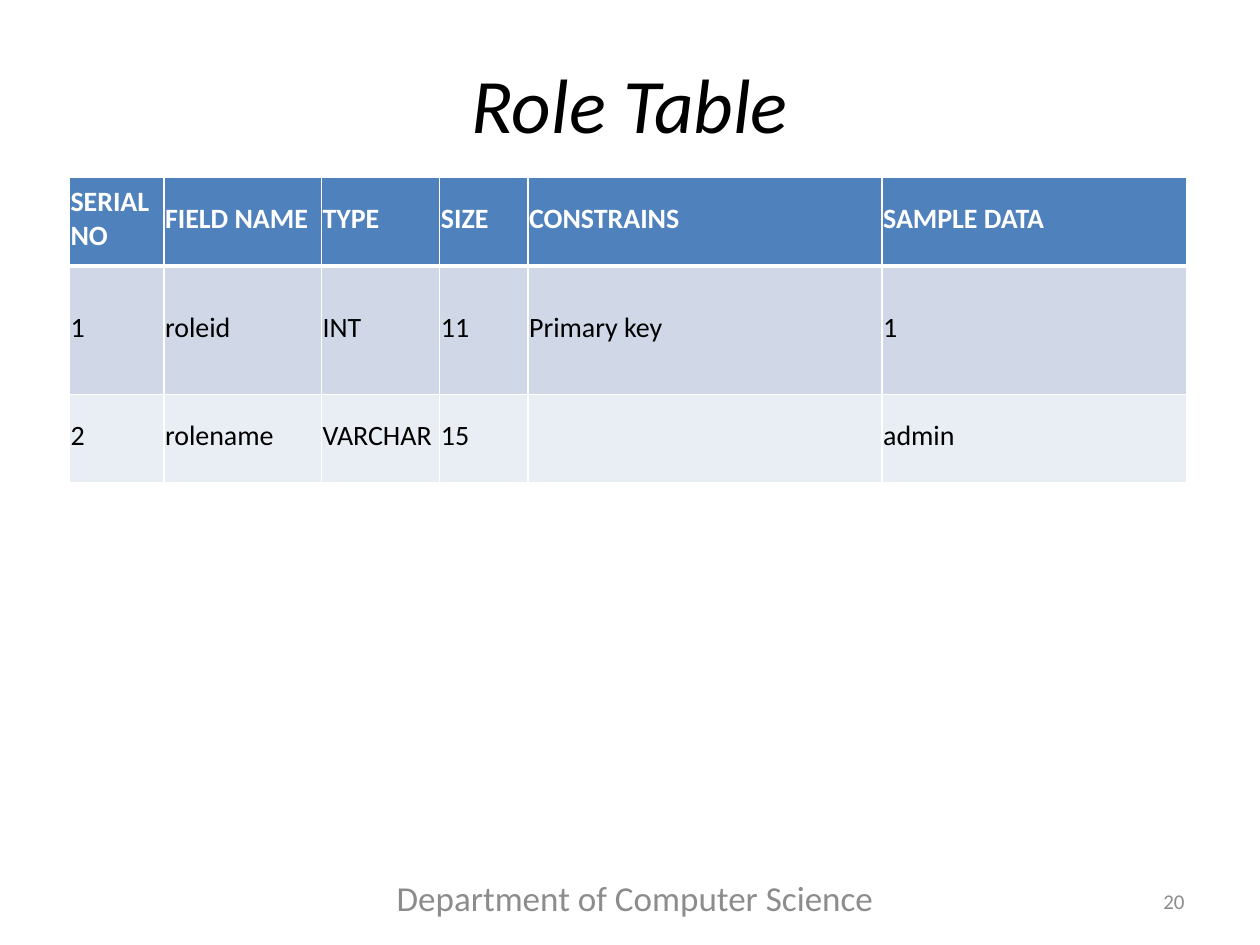
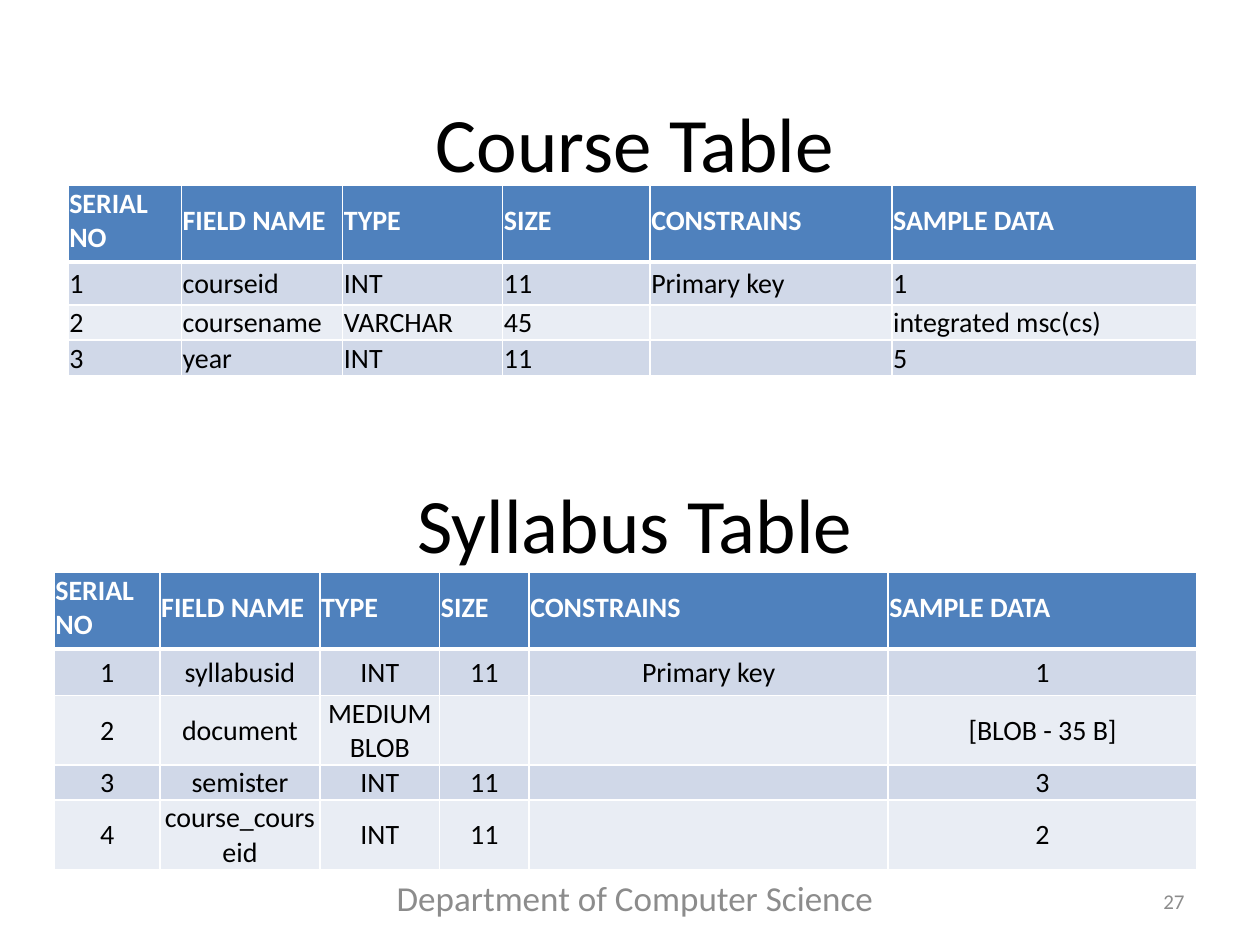
from lxml import etree
from pptx import Presentation, util as u
from pptx.dml import color
from pptx.enum import text
from pptx.oxml import ns

FONT = "Calibri"
WHITE, BLACK, GREY = "FFFFFF", "000000", "8C8C8C"
HEADER_FILL, BAND_FILLS = "4F81BD", ("D0D8E8", "E9EDF4")
LEFT, CENTER, RIGHT = text.PP_ALIGN.LEFT, text.PP_ALIGN.CENTER, text.PP_ALIGN.RIGHT
TITLE = dict(size=u.Pt(44), name=FONT)
HEADINGS = ["SERIAL NO", "FIELD NAME", "TYPE", "SIZE", "CONSTRAINS", "SAMPLE DATA"]


def rgb(value):
    return color.RGBColor.from_string(value)


def place(shape, box):
    for side, length in zip(("left", "top", "width", "height"), box):
        setattr(shape, side, u.Inches(length))


def write(frame, words, ink, align, style):
    """Fill a text frame with one formatted, vertically centred paragraph."""
    frame.word_wrap = True
    frame.vertical_anchor = text.MSO_ANCHOR.MIDDLE
    para = frame.paragraphs[0]
    para.alignment = align
    if not words:
        # An empty cell keeps the table's text size, so its row stays low
        end = etree.SubElement(para._p, ns.qn("a:endParaRPr"))
        end.set("sz", str(int(style["size"].pt * 100)))
        return
    span = para.add_run()
    span.text = words
    for name, value in style.items():
        setattr(span.font, name, value)
    span.font.color.rgb = rgb(ink)


def add_label(page, box, words, ink, align, style):
    label = page.shapes.add_textbox(*map(u.Inches, box))
    write(label.text_frame, words, ink, align, style)


def add_page(deck, title, box, number, italic=False):
    """Add a slide with its title, footer and number."""
    page = deck.slides.add_slide(deck.slide_layouts[5])
    place(page.shapes.title, box)
    write(page.shapes.title.text_frame, title, BLACK, CENTER, dict(TITLE, italic=italic))
    add_label(page, (2.83, 6.92, 4.42, 0.4), "Department of Computer Science",
              GREY, CENTER, dict(size=u.Pt(20), name=FONT))
    add_label(page, (7.17, 6.95, 2.33, 0.4), number,
              GREY, RIGHT, dict(size=u.Pt(12), name=FONT))
    return page


def add_borders(cell, bottom):
    """Draw white cell borders; they must come before the cell's fill."""
    props = cell._tc.get_or_add_tcPr()
    for index, (side, points) in enumerate(
            (("lnL", 1), ("lnR", 1), ("lnT", 1), ("lnB", bottom))):
        line = etree.Element(ns.qn("a:" + side), w=str(u.Pt(points)))
        fill = etree.SubElement(line, ns.qn("a:solidFill"))
        etree.SubElement(fill, ns.qn("a:srgbClr"), val=WHITE)
        props.insert(index, line)


def add_field_table(page, corner, widths, heights, fields, align=LEFT, pad=0.0):
    """Add a table of database fields, with a header and banded rows."""
    rows = [HEADINGS] + fields
    box = (*corner, sum(widths), sum(heights))
    table = page.shapes.add_table(len(rows), len(HEADINGS), *map(u.Inches, box)).table
    for column, width in zip(table.columns, widths):
        column.width = u.Inches(width)
    for row, height in zip(table.rows, heights):
        row.height = u.Inches(height)
    for r, values in enumerate(rows):
        header = r == 0
        style = dict(size=u.Pt(16), name=FONT, bold=header)
        for c, words in enumerate(values):
            cell = table.cell(r, c)
            cell.fill.solid()
            cell.fill.fore_color.rgb = rgb(HEADER_FILL if header else BAND_FILLS[(r - 1) % 2])
            for side in ("left", "top", "right"):
                setattr(cell, "margin_" + side, u.Inches(0.01))
            cell.margin_bottom = u.Inches(0.05 if header else pad)
            cell.vertical_anchor = text.MSO_ANCHOR.MIDDLE
            write(cell.text_frame, words, WHITE if header else BLACK,
                  LEFT if header else align, style)
            # The header's thick rule is shared with the row below it
            add_borders(cell, 3 if header else 1)
            if r == 1:
                cell._tc.tcPr.find(ns.qn("a:lnT")).set("w", str(u.Pt(3)))


def role_page(deck):
    page = add_page(deck, "Role Table", (0.5, 0.3, 9, 1.03), "20", italic=True)
    add_field_table(
        page, (0.55, 1.41), (0.75, 1.25, 0.94, 0.7, 2.81, 2.42), (0.7, 1.02, 0.7),
        [["1", "roleid", "INT", "11", "Primary key", "1"],
         ["2", "rolename", "VARCHAR", "15", "", "admin"]], pad=0.05)


def course_page(deck):
    page = add_page(deck, "Syllabus Table", (0.54, 3.52, 9, 1.25), "27")
    add_label(page, (0.54, 0.5, 9, 1.25), "Course Table", BLACK, CENTER, TITLE)
    # Course fields
    add_field_table(
        page, (0.54, 1.47), (0.9, 1.28, 1.27, 1.17, 1.92, 2.42), (0.61, 0.34, 0.28, 0.28),
        [["1", "courseid", "INT", "11", "Primary key", "1"],
         ["2", "coursename", "VARCHAR", "45", "", "integrated msc(cs)"],
         ["3", "year", "INT", "11", "", "5"]])
    # Syllabus fields
    add_field_table(
        page, (0.43, 4.54), (0.84, 1.27, 0.95, 0.71, 2.85, 2.45),
        (0.61, 0.37, 0.55, 0.28, 0.55),
        [["1", "syllabusid", "INT", "11", "Primary key", "1"],
         ["2", "document", "MEDIUMBLOB", "", "", "[BLOB - 35 B]"],
         ["3", "semister", "INT", "11", "", "3"],
         ["4", "course_courseid", "INT", "11", "", "2"]], align=CENTER)


def main():
    deck = Presentation()
    deck.slide_width, deck.slide_height = u.Inches(10), u.Inches(7.5)
    role_page(deck)
    course_page(deck)
    deck.save("out.pptx")


if __name__ == "__main__":
    main()
